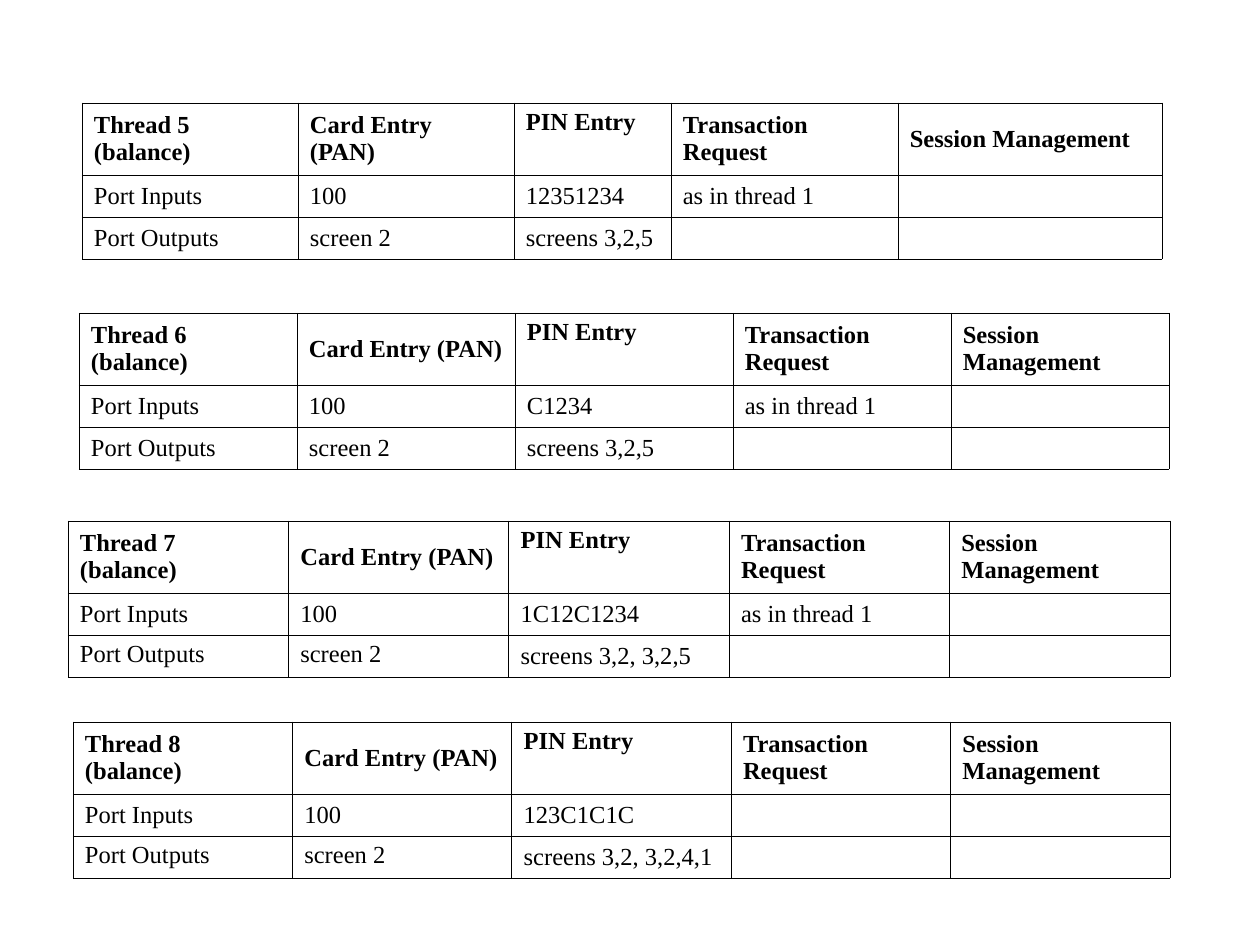
import dataclasses

import pptx
import pptx.dml.color
import pptx.enum.text
import pptx.oxml
import pptx.oxml.ns
import pptx.util

PX = 914400 // 126
ROW_HEIGHTS = (72, 42, 42)
MARGIN_X, MARGIN_Y = 12, 6
EQUAL = (1, 1, 1, 1, 1)
STEPS = ("Card Entry (PAN)", "PIN Entry", "Transaction Request", "Session Management")


@dataclasses.dataclass(frozen=True)
class Theme:
    """Colours, font and sizes of the slide."""

    font: str = "Times New Roman"
    size: float = 14
    ink: str = "000000"
    border: float = 0.34


@dataclasses.dataclass(frozen=True)
class Thread:
    """One test thread with the box and column weights of its table."""

    number: int
    box: tuple
    inputs: tuple
    outputs: tuple
    weights: tuple = EQUAL
    top_labels: bool = False


THEME = Theme()
THREADS = (
    Thread(5, (82, 103, 1080), ("100", "12351234", "as in thread 1", ""),
           ("screen 2", "screens 3,2,5", "", ""), weights=(216, 216, 157, 227, 264)),
    Thread(6, (79, 313, 1090), ("100", "C1234", "as in thread 1", ""),
           ("screen 2", "screens 3,2,5", "", "")),
    Thread(7, (68, 521, 1102), ("100", "1C12C1234", "as in thread 1", ""),
           ("screen 2", "screens 3,2, 3,2,5", "", ""), top_labels=True),
    Thread(8, (73, 722, 1097), ("100", "123C1C1C", "", ""),
           ("screen 2", "screens 3,2, 3,2,4,1", "", ""), top_labels=True),
)


def px(n):
    """Turn slide pixels into EMU."""
    return pptx.util.Emu(round(n * PX))


def add_borders(cell):
    """Draw a thin line on all four sides of a cell."""
    width = pptx.util.Pt(THEME.border)
    for i, side in enumerate(("lnL", "lnR", "lnT", "lnB")):
        line = pptx.oxml.parse_xml(
            f'<a:{side} {pptx.oxml.ns.nsdecls("a")} w="{width}"><a:solidFill>'
            f'<a:srgbClr val="{THEME.ink}"/></a:solidFill></a:{side}>')
        cell._tc.get_or_add_tcPr().insert(i, line)


def fill_cell(cell, text, bold, top):
    """Write and format one table cell."""
    cell.fill.background()
    add_borders(cell)
    cell.margin_left = cell.margin_right = px(MARGIN_X)
    cell.margin_top = cell.margin_bottom = px(MARGIN_Y)
    anchor = pptx.enum.text.MSO_ANCHOR
    cell.vertical_anchor = anchor.TOP if top else anchor.MIDDLE
    p = cell.text_frame.paragraphs[0]
    p.text = text
    p.font.name = THEME.font
    p.font.size = pptx.util.Pt(THEME.size)
    p.font.bold = bold
    p.font.color.rgb = pptx.dml.color.RGBColor.from_string(THEME.ink)
    if not text:
        p._p.append(pptx.oxml.parse_xml(
            f'<a:endParaRPr {pptx.oxml.ns.nsdecls("a")} sz="{THEME.size * 100}"/>'))


def add_thread_table(s, thread):
    """Place the table of one thread in its box."""
    left, top, width = thread.box
    rows = ((f"Thread {thread.number} (balance)", *STEPS),
            ("Port Inputs", *thread.inputs),
            ("Port Outputs", *thread.outputs))
    table = s.shapes.add_table(len(rows), len(thread.weights), px(left), px(top),
                               px(width), px(sum(ROW_HEIGHTS))).table
    table.first_row = table.horz_banding = False
    for column, weight in zip(table.columns, thread.weights):
        column.width = px(width * weight / sum(thread.weights))
    for r, (texts, height) in enumerate(zip(rows, ROW_HEIGHTS)):
        table.rows[r].height = px(height)
        for c, text in enumerate(texts):
            at_top = (r, c) == (0, 2) or (thread.top_labels and r == 2 and c < 2)
            fill_cell(table.cell(r, c), text, r == 0, at_top)


def main():
    """Build the slide and save it."""
    prs = pptx.Presentation()
    prs.slide_width, prs.slide_height = px(1260), px(945)
    s = prs.slides.add_slide(prs.slide_layouts[6])
    for thread in THREADS:
        add_thread_table(s, thread)
    prs.save("out.pptx")


if __name__ == "__main__":
    main()
